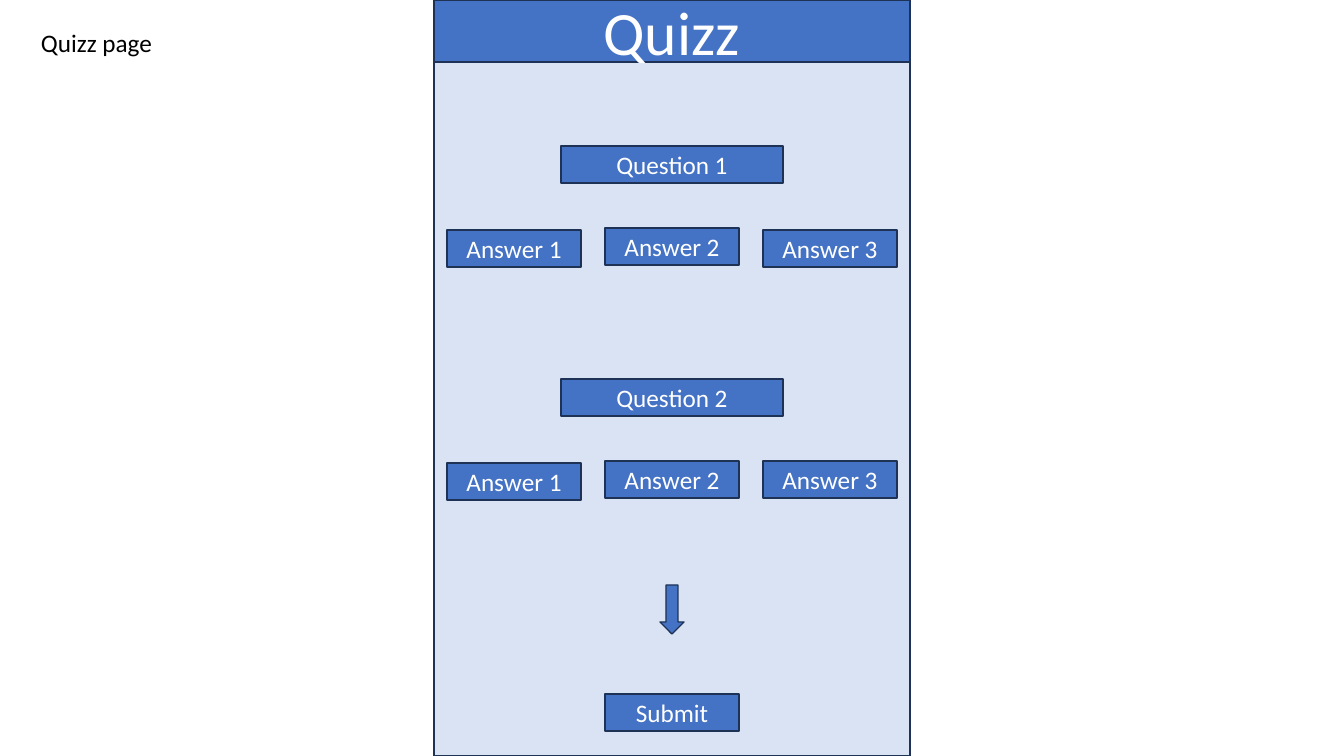
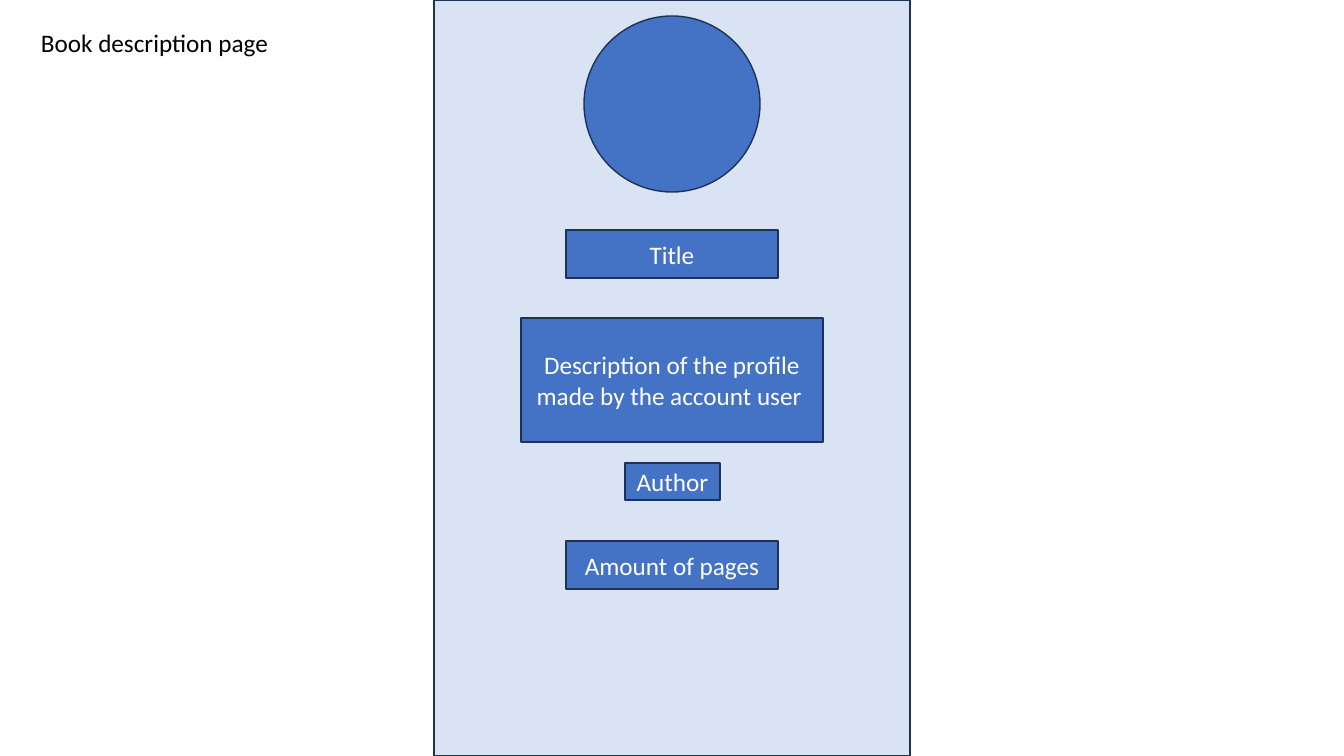
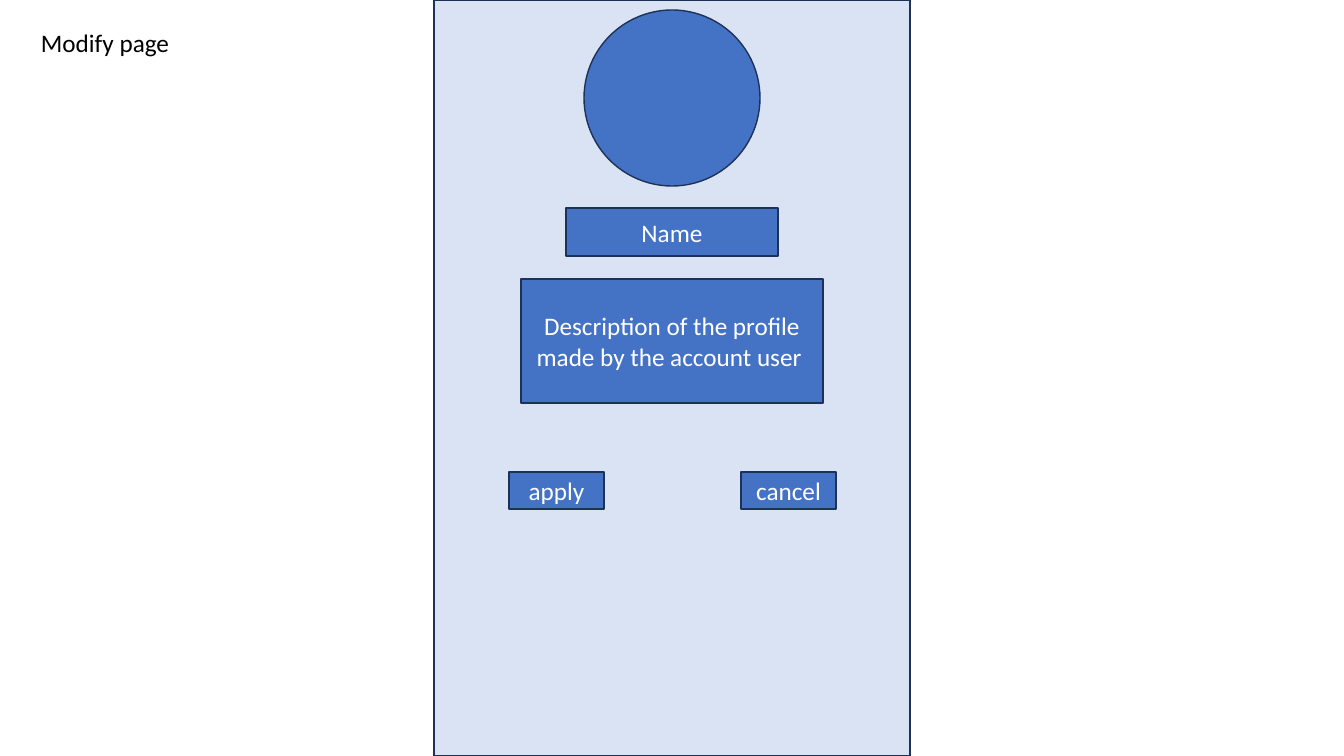
from pptx import Presentation
from pptx.dml.color import RGBColor
from pptx.enum.shapes import MSO_SHAPE
from pptx.enum.text import MSO_ANCHOR, MSO_AUTO_SIZE, PP_ALIGN
from pptx.util import Emu, Pt

RECTANGLE = MSO_SHAPE.RECTANGLE
CIRCLE = MSO_SHAPE.FLOWCHART_CONNECTOR
DOWN_ARROW = MSO_SHAPE.DOWN_ARROW
MIDDLE = MSO_ANCHOR.MIDDLE
CENTER = PP_ALIGN.CENTER
LEFT = PP_ALIGN.LEFT
FIT_SHAPE = MSO_AUTO_SIZE.SHAPE_TO_FIT_TEXT

WIDTH, HEIGHT = 1344, 756
MIDDLE_X = WIDTH // 2
PANEL_WIDTH = 476
ANSWER_WIDTH, ANSWER_PITCH = 134, 158
BUTTON_HEIGHT = 37
DESCRIPTION = "Description of the profile made by the account user "


def px(length):
    return Emu(round(length * 914400 / 100.8))


def color(value):
    return RGBColor.from_string(value)


class Wireframe:
    FONT = "Calibri"
    BLUE, PANEL, OUTLINE = "4472C4", "DAE3F3", "1E3256"
    WHITE, BLACK = "FFFFFF", "000000"

    def __init__(self):
        self.presentation = Presentation()
        self.presentation.slide_width = px(WIDTH)
        self.presentation.slide_height = px(HEIGHT)
        self.slide = None

    def page(self, label, label_width):
        """Start a slide with the phone panel and its label at top left."""
        layout = self.presentation.slide_layouts[6]
        self.slide = self.presentation.slides.add_slide(layout)
        self.shape(0, PANEL_WIDTH, HEIGHT, fill=self.PANEL)
        box = self.slide.shapes.add_textbox(px(31), px(22), px(label_width), px(40))
        box.text_frame.word_wrap = False
        box.text_frame.auto_size = FIT_SHAPE
        self.add_text(box.text_frame, label, 18, self.BLACK, LEFT)

    def add_text(self, frame, text, size, text_color, alignment):
        paragraph = frame.paragraphs[0]
        paragraph.alignment = alignment
        run = paragraph.add_run()
        run.text = text
        run.font.name = self.FONT
        run.font.size = Pt(size)
        run.font.color.rgb = color(text_color)

    def shape(self, top, width, height, center=MIDDLE_X, kind=RECTANGLE, fill=BLUE):
        """Add an outlined shape, placed by its horizontal center."""
        shape = self.slide.shapes.add_shape(
            kind, px(center - width // 2), px(top), px(width), px(height))
        shape.shadow.inherit = False
        shape.fill.solid()
        shape.fill.fore_color.rgb = color(fill)
        shape.line.color.rgb = color(self.OUTLINE)
        shape.line.width = Pt(1)
        return shape

    def box(self, text, top, width, height=BUTTON_HEIGHT, center=MIDDLE_X, size=18):
        frame = self.shape(top, width, height, center).text_frame
        frame.word_wrap = True
        frame.vertical_anchor = MIDDLE
        self.add_text(frame, text, size, self.WHITE, CENTER)

    def profile(self, circle_top, heading, heading_top, description_top):
        """Add the round picture area, the heading and the description."""
        self.shape(circle_top, 176, 176, kind=CIRCLE)
        self.box(heading, heading_top, 212, 48)
        self.box(DESCRIPTION, description_top, 302, 124)

    def question(self, number, top, answer_tops):
        self.box(f"Question {number}", top, 222)
        for index, answer_top in enumerate(answer_tops):
            self.box(f"Answer {index + 1}", answer_top, ANSWER_WIDTH,
                     center=MIDDLE_X + (index - 1) * ANSWER_PITCH)


def main():
    wireframe = Wireframe()

    wireframe.page("Quizz page", 133)
    wireframe.box("Quizz", 0, PANEL_WIDTH, 62, size=44)
    wireframe.question(1, 146, (230, 228, 230))
    wireframe.question(2, 379, (463, 461, 461))
    wireframe.shape(585, 24, 49, kind=DOWN_ARROW)
    wireframe.box("Submit", 694, ANSWER_WIDTH)

    wireframe.page("Book description page", 250)
    wireframe.profile(16, "Title", 230, 318)
    wireframe.box("Author", 463, 95)
    wireframe.box("Amount of pages", 541, 212, 48)

    wireframe.page("Modify page", 150)
    wireframe.profile(10, "Name", 208, 279)
    for text, offset in (("apply", -116), ("cancel", 116)):
        wireframe.box(text, 472, 95, center=MIDDLE_X + offset)

    wireframe.presentation.save("out.pptx")


if __name__ == "__main__":
    main()
